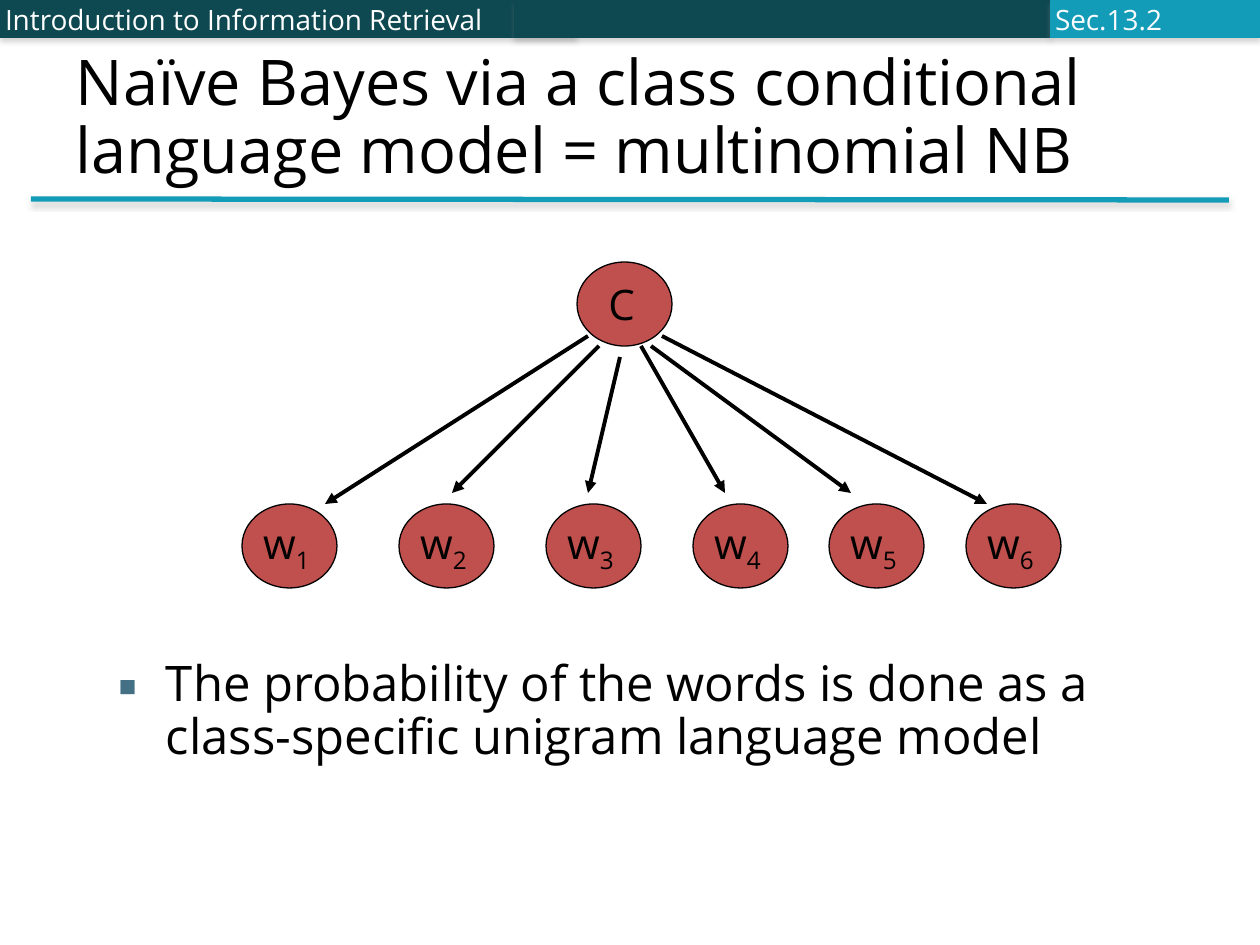
import pptx
import pptx.util
import pptx.dml.color
import pptx.enum.shapes
import pptx.enum.text
import pptx.oxml
import pptx.oxml.ns

Pt = pptx.util.Pt
Kind = pptx.enum.shapes.MSO_SHAPE
Anchor = pptx.enum.text.MSO_ANCHOR
Align = pptx.enum.text.PP_ALIGN
qn = pptx.oxml.ns.qn
FONT = "Open Sans"
NS = 'xmlns:a="http://schemas.openxmlformats.org/drawingml/2006/main"'
DARK, TEAL, RED, BLACK = "0E4851", "139CB7", "C0504D", "000000"


def px(n):
    """Turn pixels, 126 to the inch, into EMU."""
    return round(n * 914400 / 126)


def rgb(code):
    return pptx.dml.color.RGBColor.from_string(code)


def shade(shape, alpha=0):
    """Give a soft grey shadow of alpha percent, or none at 0."""
    glow = "" if not alpha else (
        '<a:outerShdw blurRad="38100" dist="25400" dir="5400000" rotWithShape="0">'
        f'<a:srgbClr val="808080"><a:alpha val="{alpha * 1000}"/></a:srgbClr></a:outerShdw>')
    props = shape._element.spPr
    for old in props.findall(qn("a:effectLst")):
        props.remove(old)
    props.append(pptx.oxml.parse_xml(f"<a:effectLst {NS}>{glow}</a:effectLst>"))


def place(shape, x, y, w, h):
    shape.left, shape.top, shape.width, shape.height = px(x), px(y), px(w), px(h)


def inset(frame, left, top, right, bottom):
    frame.margin_left, frame.margin_top = px(left), px(top)
    frame.margin_right, frame.margin_bottom = px(right), px(bottom)


def style(para, size, color=BLACK, align=Align.LEFT):
    para.alignment = align
    font = para.font
    font.name, font.size, font.color.rgb = FONT, Pt(size), rgb(color)


def block(slide, kind, x, y, w, h, fill):
    shape = slide.shapes.add_shape(kind, px(x), px(y), px(w), px(h))
    shape.fill.solid()
    shape.fill.fore_color.rgb = rgb(fill)
    shape.line.fill.background()
    shape.text_frame.word_wrap = False
    shape.text_frame.vertical_anchor = Anchor.MIDDLE
    return shape


def line(slide, start, end, color, width):
    ends = [px(n) for n in (*start, *end)]
    link = slide.shapes.add_connector(pptx.enum.shapes.MSO_CONNECTOR.STRAIGHT, *ends)
    link.line.color.rgb = rgb(color)
    link.line.width = Pt(width)
    return link


def header(slide, x, y, h):
    bands = [(0, 576, DARK, "Introduction to Information Retrieval", "FFFFFF"),
             (514, 536, DARK, "", "FFFFFF"),
             (1050, 210, TEAL, "Sec.13.2", "FBFCFF")]
    for left, w, fill, text, color in bands:
        band = block(slide, Kind.RECTANGLE, x + left, y, w, h, fill)
        shade(band, 35)
        if text:
            inset(band.text_frame, 5, 0, 5, 0)
            band.text_frame.text = text
            style(band.text_frame.paragraphs[0], 16, color)


def fill_holder(holder, box, text, size, anchor):
    """Move a placeholder to its box and set its text."""
    place(holder, *box)
    frame = holder.text_frame
    frame.text = text
    frame.word_wrap = True
    frame.auto_size = pptx.enum.text.MSO_AUTO_SIZE.NONE
    frame.vertical_anchor = anchor
    inset(frame, 8, 8, 18, 8)
    para = frame.paragraphs[0]
    para.line_spacing = 0.9
    style(para, size)
    return para


def title(slide, x, y, w, h):
    para = fill_holder(slide.shapes.title, (x, y, w, h),
                       "Naïve Bayes via a class conditional language model = multinomial NB",
                       36, Anchor.BOTTOM)
    para._p.get_or_add_pPr().set("marL", str(px(5)))
    shade(line(slide, (x - 32, y + h + 4), (x + w + 32, y + h + 5), TEAL, 3), 38)


def body(slide, x, y, w, h):
    para = fill_holder(slide.placeholders[1], (x, y, w, h),
                       "The probability of the words is done as a class-specific unigram language model",
                       28, Anchor.TOP)
    para.space_before = Pt(7)
    props = para._p.get_or_add_pPr()
    props.set("marL", str(px(53)))
    props.set("indent", str(px(-48)))
    marks = (f'<a:buClr {NS}><a:srgbClr val="437085"/></a:buClr>',
             f'<a:buFont {NS} typeface="{FONT}"/>',
             f'<a:buChar {NS} char="▪"/>')
    spot = props.index(props.find(qn("a:spcBef"))) + 1
    for step, mark in enumerate(marks):
        props.insert(spot + step, pptx.oxml.parse_xml(mark))


def node(slide, x, y, text, sub=""):
    oval = block(slide, Kind.OVAL, x, y, 95, 84, RED)
    oval.line.color.rgb = rgb(BLACK)
    oval.line.width = Pt(0.75)
    shade(oval)
    inset(oval.text_frame, 5, 5, 11, 5)
    para = oval.text_frame.paragraphs[0]
    para.add_run().text = text
    if sub:
        run = para.add_run()
        run.text = sub
        run._r.get_or_add_rPr().set("baseline", "-25000")
    style(para, 24, align=Align.CENTER)


def arrow(slide, start, end):
    link = line(slide, start, end, BLACK, 2.25)
    link.line._get_or_add_ln().append(
        pptx.oxml.parse_xml(f'<a:tailEnd {NS} type="triangle"/>'))
    shade(link)


def model(slide, x, y):
    """Class node above, with an arrow to each word node."""
    node(slide, x + 335, y, "C")
    for num, left in enumerate((0, 157, 304, 451, 587, 724), 1):
        node(slide, x + left, y + 242, "w", str(num))
    rays = [(346, 74, 83, 242), (357, 84, 210, 231), (378, 95, 346, 231),
            (399, 84, 483, 231), (409, 84, 609, 231), (420, 74, 745, 242)]
    for x1, y1, x2, y2 in rays:
        arrow(slide, (x + x1, y + y1), (x + x2, y + y2))


def main():
    deck = pptx.Presentation()
    deck.slide_width, deck.slide_height = px(1260), px(945)
    slide = deck.slides.add_slide(deck.slide_layouts[1])
    header(slide, 0, 0, 38)
    title(slide, 63, 0, 1134, 195)
    model(slide, 242, 262)
    body(slide, 105, 651, 1071, 294)
    deck.save("out.pptx")


if __name__ == "__main__":
    main()
